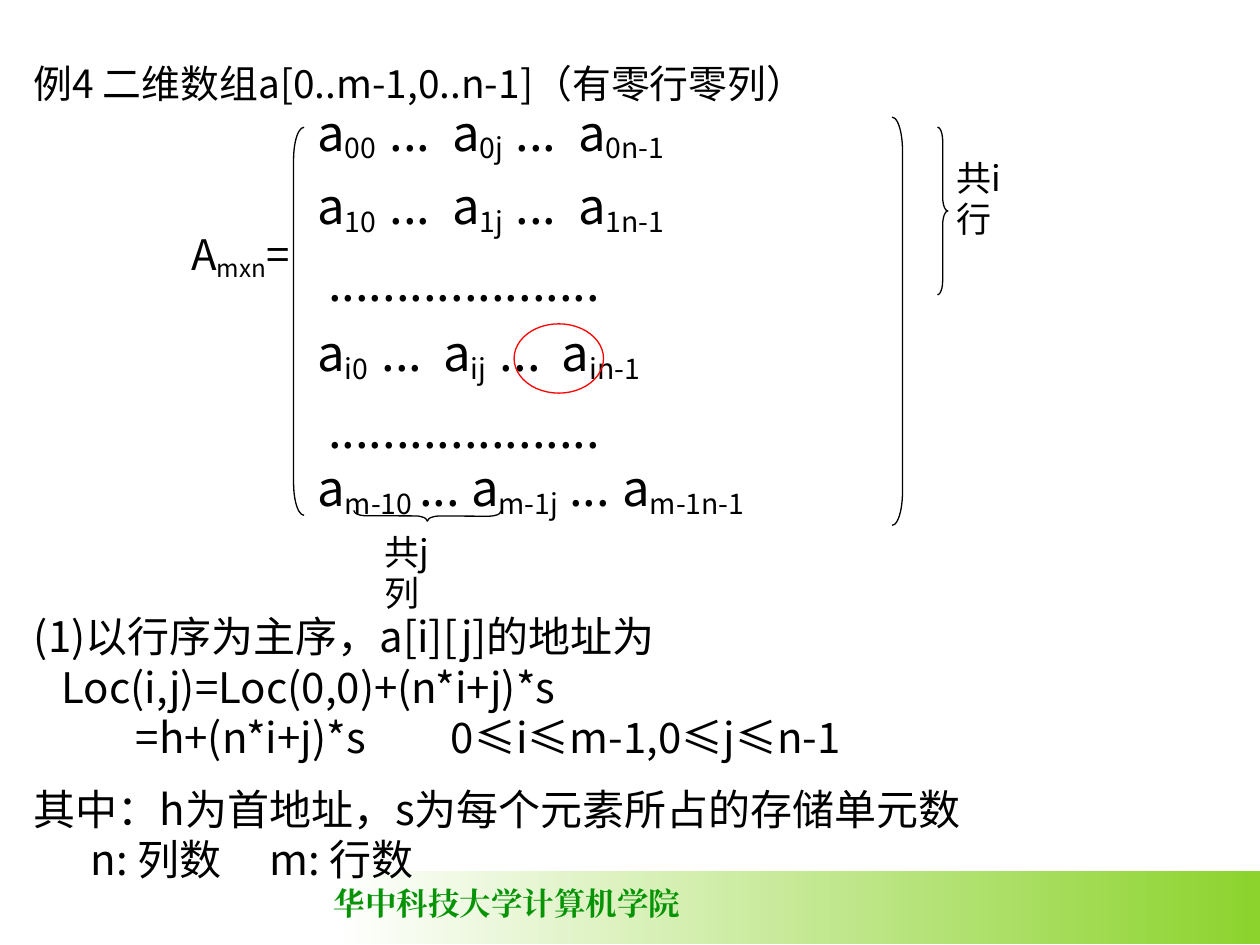
from dataclasses import dataclass

from lxml.etree import SubElement
from pptx import Presentation
from pptx.dml.color import RGBColor
from pptx.enum.shapes import MSO_SHAPE
from pptx.oxml.ns import qn
from pptx.util import Inches, Pt

CELL = Inches(0.1)
COLS, ROWS = 100, 75
BLACK = RGBColor(0x00, 0x00, 0x00)
WHITE = RGBColor(0xFF, 0xFF, 0xFF)
RED = RGBColor(0xFF, 0x00, 0x00)
LIME = RGBColor(0x8C, 0xD3, 0x2D)
GREEN = RGBColor(0x06, 0x94, 0x06)
SANS, SERIF = "Noto Sans CJK SC", "Times New Roman"


@dataclass(frozen=True)
class Area:
    """Place on the grid, in columns and rows."""
    x: float
    y: float
    w: float
    h: float

    def emu(self) -> list[int]:
        return [round(v * CELL) for v in (self.x, self.y, self.w, self.h)]


@dataclass(frozen=True)
class Line:
    """Paragraph whose texts alternate between normal and subscript."""
    texts: tuple[str, ...]
    tabs: tuple[float, ...] = ()
    before: float = 0


@dataclass(frozen=True)
class Block:
    """Text box with one type size and an exact line height."""
    area: Area
    lines: tuple[Line, ...]
    size: float
    leading: float | None = None
    wrap: bool = True
    font: str = SANS
    color: RGBColor = BLACK
    bold: bool = False


@dataclass(frozen=True)
class Outline:
    """Unfilled shape; round_ends curves a bracket over a twelfth of its height."""
    kind: MSO_SHAPE
    area: Area
    color: RGBColor = BLACK
    round_ends: bool = True
    rotation: float = 0


def matrix_row(subs: tuple[str, str, str], tabs: tuple[float, ...], before: float = 7) -> Line:
    """Return a row of three subscripted elements joined by dots."""
    first, middle, last = subs
    return Line(("a", first, "\t...\ta", middle, "\t...\ta", last), tabs, before)


WIDE_TABS = (5.75, 10.7, 15.75, 20.7)
DOTS = Line((" ....................",), before=7)
MATRIX = (
    matrix_row(("00", "0j", "0n-1"), WIDE_TABS, before=0),
    matrix_row(("10", "1j", "1n-1"), WIDE_TABS),
    DOTS,
    matrix_row(("i0", "ij", "in-1"), (5.1, 10, 14.5, 19.4)),
    DOTS,
    matrix_row(("m-10", "m-1j", "m-1n-1"), (8.1, 12.2, 20, 24.2), before=0),
)
ADDRESS = (
    Line(("(1)以行序为主序，a[i][j]的地址为",)),
    Line(("\tLoc(i,j)=Loc(0,0)+(n*i+j)*s",), (2.2,)),
    Line(("\t=h+(n*i+j)*s\t0≤i≤m-1,0≤j≤n-1",), (8.1, 33.1)),
    Line(("其中：h为首地址，s为每个元素所占的存储单元数",), before=12),
    Line(("\tn: 列数\tm: 行数",), (4.5, 18.7)),
)
BLOCKS = (
    Block(Area(25.5, 69.7, 29.5, 4), (Line(("华中科技大学计算机学院",)),), 18,
          wrap=False, font=SERIF, color=GREEN, bold=True),
    Block(Area(1.7, 4.6, 95.8, 4.7),
          (Line(("例4 二维数组a[0..m-1,0..n-1]（有零行零列）",)),), 22.2, 24),
    Block(Area(24.2, 7.7, 48.3, 34.1), MATRIX, 28, 35),
    Block(Area(14.2, 17.9, 10, 9.3), (Line(("A", "mxn", "=")),), 24, 28.8, wrap=False),
    Block(Area(1.7, 48, 97.5, 22.7), ADDRESS, 24, 28.8),
    Block(Area(74.9, 12, 8, 7.5), (Line(("共i行",)),), 20, 23.4),
    Block(Area(29.5, 41.7, 8, 7.5), (Line(("共j列",)),), 20, 23.4),
)
OUTLINES = (
    Outline(MSO_SHAPE.LEFT_BRACKET, Area(23.3, 10.1, 0.83, 30.8)),
    Outline(MSO_SHAPE.RIGHT_BRACKET, Area(70.8, 9.3, 0.83, 32.4)),
    Outline(MSO_SHAPE.RIGHT_BRACE, Area(74.4, 10.1, 0.83, 13.3)),
    Outline(MSO_SHAPE.RIGHT_BRACE, Area(33.5, 35.1, 0.83, 11.7), rotation=90.2),
    Outline(MSO_SHAPE.OVAL, Area(40.8, 25.7, 7.1, 5.5), RED, round_ends=False),
)


def add_band(s) -> None:
    """Draw the footer band that fades in from the left."""
    sp = s.shapes.add_shape(MSO_SHAPE.RECTANGLE, *Area(26.7, 69.1, 73.3, 5.8).emu())
    sp.shadow.inherit = False
    sp.line.fill.background()
    sp.fill.gradient()
    sp.fill.gradient_angle = 0
    for stop, color in zip(sp.fill.gradient_stops, (WHITE, LIME)):
        stop.color.rgb = color


def add_outline(s, o: Outline) -> None:
    """Draw an unfilled bracket, brace or ring."""
    sp = s.shapes.add_shape(o.kind, *o.area.emu())
    sp.shadow.inherit = False
    sp.fill.background()
    sp.line.color.rgb = o.color
    sp.line.width = Pt(0.75)
    sp.rotation = o.rotation
    if o.round_ends:
        sp.adjustments[0] = o.area.h / o.area.w / 12


def add_line(p, line: Line, b: Block) -> None:
    """Fill a paragraph with its tab stops, spacing and runs."""
    if line.tabs:
        tab_list = SubElement(p._p.get_or_add_pPr(), qn("a:tabLst"))
        for tab in line.tabs:
            SubElement(tab_list, qn("a:tab"), pos=str(round(tab * CELL)), algn="l")
    if b.leading:
        p.line_spacing = Pt(b.leading)
    p.space_before = Pt(line.before)
    for i, text in enumerate(line.texts):
        r = p.add_run()
        r.text = text
        r.font.size = Pt(b.size)
        r.font.bold = b.bold
        r.font.color.rgb = b.color
        r.font.name = b.font
        rpr = r._r.get_or_add_rPr()
        SubElement(rpr, qn("a:ea"), typeface=b.font)
        if i % 2:
            rpr.set("baseline", "-16000")


def add_block(s, b: Block) -> None:
    """Draw a text box line by line."""
    tf = s.shapes.add_textbox(*b.area.emu()).text_frame
    tf.word_wrap = b.wrap
    for i, line in enumerate(b.lines):
        p = tf.add_paragraph() if i else tf.paragraphs[0]
        add_line(p, line, b)


def main() -> None:
    """Build the slide and save it."""
    prs = Presentation()
    prs.slide_width, prs.slide_height = COLS * CELL, ROWS * CELL
    s = prs.slides.add_slide(prs.slide_layouts[6])
    add_band(s)
    for b in BLOCKS:
        add_block(s, b)
    for o in OUTLINES:
        add_outline(s, o)
    prs.save("out.pptx")


if __name__ == "__main__":
    main()
